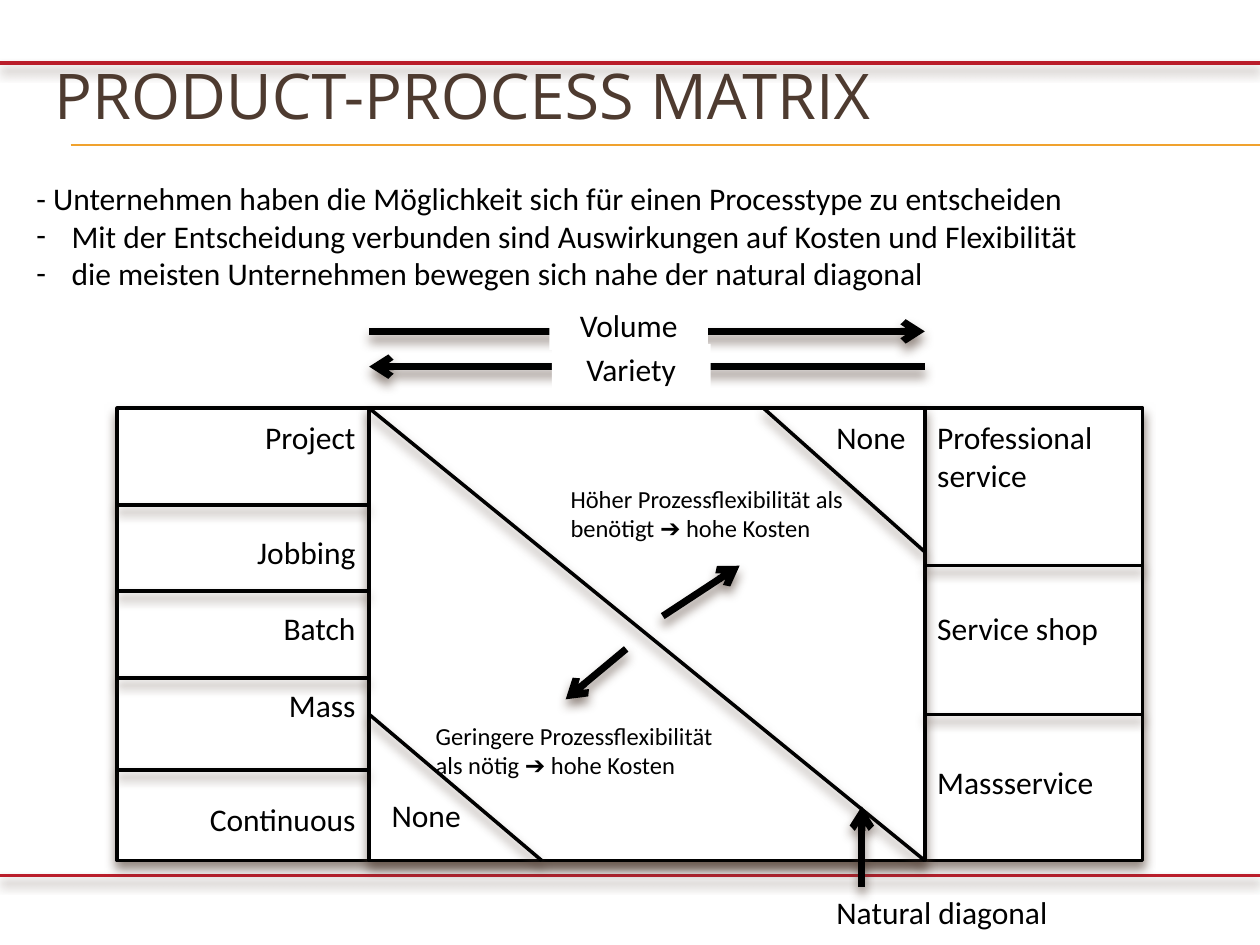
from lxml import etree
from pptx import Presentation
from pptx import util as u
from pptx.dml.color import RGBColor
from pptx.enum import shapes, text
from pptx.oxml import ns

BLACK = RGBColor(0x00, 0x00, 0x00)
WHITE = RGBColor(0xFF, 0xFF, 0xFF)
BROWN = RGBColor(0x4E, 0x3B, 0x30)
RED = RGBColor(0xBA, 0x1E, 0x2B)
AMBER = RGBColor(0xF0, 0xA2, 0x2E)

LEFT, RIGHT, CENTER = text.PP_ALIGN.LEFT, text.PP_ALIGN.RIGHT, text.PP_ALIGN.CENTER
LINE_STEP = 22  # points taken by one 18 pt text line

# Edges of the matrix in inches
OUTER_LEFT, INNER_LEFT, INNER_RIGHT, OUTER_RIGHT = 0.93, 2.93, 7.34, 9.07
TOP, BOTTOM = 3.24, 6.83


def child(parent, tag, **attributes):
    return etree.SubElement(parent, ns.qn(tag), attributes)


def set_effects(shape, shadow):
    """Give the shape a soft downward shadow, or no shadow at all."""
    effects = child(shape._element.spPr, "a:effectLst")
    if shadow:
        outer = child(effects, "a:outerShdw", blurRad=str(u.Pt(6)),
                      dist=str(u.Pt(4)), dir="5400000", rotWithShape="0")
        color = child(outer, "a:srgbClr", val=str(BROWN))
        child(color, "a:alpha", val="60000")


def add_line(page, start, end, color=BLACK, width=2, arrow=False, shadow=True):
    line = page.shapes.add_connector(
        shapes.MSO_CONNECTOR.STRAIGHT, *(u.Inches(v) for v in (*start, *end)))
    line.line.color.rgb = color
    line.line.width = u.Pt(width)
    if arrow:
        child(line.line._get_or_add_ln(), "a:tailEnd", type="arrow")
    set_effects(line, shadow)


def add_rect(page, left, top, width, height, outlined=True):
    rect = page.shapes.add_shape(
        shapes.MSO_SHAPE.RECTANGLE, *(u.Inches(v) for v in (left, top, width, height)))
    rect.fill.solid()
    rect.fill.fore_color.rgb = WHITE
    if outlined:
        rect.line.color.rgb = BLACK
        rect.line.width = u.Pt(2)
    else:
        rect.line.fill.background()
    set_effects(rect, outlined)
    return rect


def add_run(para, words, size, font="Calibri", color=BLACK):
    span = para.add_run()
    span.text = words
    span.font.size = u.Pt(size)
    span.font.name = font
    span.font.color.rgb = color


def write(shape, lines, size=18, align=LEFT):
    """Write (words, free text lines above) pairs, one paragraph each."""
    frame = shape.text_frame
    frame.word_wrap = True
    frame.vertical_anchor = text.MSO_ANCHOR.TOP
    for index, (words, gap) in enumerate(lines):
        para = frame.add_paragraph() if index else frame.paragraphs[0]
        para.alignment = align
        if gap:
            para.space_before = u.Pt(gap * LINE_STEP)
        add_run(para, words, size)
    return frame


def add_text(page, left, top, width, height, lines, size=18, align=LEFT):
    box = page.shapes.add_textbox(*(u.Inches(v) for v in (left, top, width, height)))
    return write(box, lines, size, align)


def add_dash(para):
    properties = para._p.get_or_add_pPr()
    properties.set("marL", str(u.Inches(0.28)))
    properties.set("indent", str(u.Inches(-0.28)))
    child(properties, "a:buFont", typeface="Calibri")
    child(properties, "a:buChar", char="-")


def add_title(page, words):
    title = page.shapes.title
    title.left, title.top = u.Inches(0.33), u.Inches(0.29)
    title.width, title.height = u.Inches(9.5), u.Inches(0.92)
    frame = title.text_frame
    frame.vertical_anchor = text.MSO_ANCHOR.MIDDLE
    frame.auto_size = text.MSO_AUTO_SIZE.NONE
    frame.paragraphs[0].alignment = LEFT
    add_run(frame.paragraphs[0], words, 36, "Open Sans", BROWN)


def add_matrix(page):
    add_rect(page, OUTER_LEFT, TOP, OUTER_RIGHT - OUTER_LEFT, BOTTOM - TOP)
    add_rect(page, INNER_LEFT, TOP, INNER_RIGHT - INNER_LEFT, BOTTOM - TOP)

    # Natural diagonal and the two cut-off corners
    add_line(page, (INNER_LEFT, TOP), (INNER_RIGHT, BOTTOM))
    add_line(page, (6.06, TOP), (INNER_RIGHT, 4.38))
    add_line(page, (INNER_LEFT, 5.67), (4.3, BOTTOM))

    # Process types for products (left) and services (right)
    for y in (4.01, 4.69, 5.38, 6.11):
        add_line(page, (OUTER_LEFT, y), (INNER_LEFT, y))
    add_text(page, OUTER_LEFT, 3.27, 1.99, 3.43,
             [("Project", 0), ("Jobbing", 2), ("Batch", 1), ("Mass", 1),
              ("Continuous", 2)], align=RIGHT)
    for y in (4.49, 5.67):
        add_line(page, (INNER_RIGHT, y), (OUTER_RIGHT, y))
    add_text(page, INNER_RIGHT, 3.27, 1.73, 3.13,
             [("Professional", 0), ("service", 0), ("Service shop", 3),
              ("Massservice", 3)])

    for left, top in ((6.54, 3.27), (3.01, 6.27)):
        add_text(page, left, top, 0.8, 0.4, [("None", 0)])


def main():
    deck = Presentation()
    deck.slide_width, deck.slide_height = u.Inches(10), u.Inches(7.5)
    page = deck.slides.add_slide(deck.slide_layouts[5])

    # Frame lines and title
    add_line(page, (0.56, 1.15), (10, 1.15), AMBER, 0.75, shadow=False)
    for y in (0.5, 6.95):
        add_line(page, (0, y), (10, y), RED)
    add_title(page, "PRODUCT-PROCESS MATRIX")

    # Introduction
    intro = add_text(page, 0.19, 1.37, 9.64, 1.01, [
        ("- Unternehmen haben die Möglichkeit sich für einen Processtype zu entscheiden", 0),
        ("Mit der Entscheidung verbunden sind Auswirkungen auf Kosten und Flexibilität", 0),
        ("die meisten Unternehmen bewegen sich nahe der natural diagonal", 0)])
    for para in intro.paragraphs[1:]:
        add_dash(para)

    add_matrix(page)

    # Arrows away from the diagonal
    add_line(page, (5.26, 4.89), (5.87, 4.49), width=4, arrow=True)
    add_line(page, (4.97, 5.15), (4.49, 5.55), width=4, arrow=True)

    # Volume and variety axes, with labels on top of the arrows
    add_line(page, (INNER_LEFT, 2.63), (INNER_RIGHT, 2.63), width=4, arrow=True)
    add_line(page, (INNER_RIGHT, 2.91), (INNER_LEFT, 2.91), width=4, arrow=True)
    for words, left, top in (("Volume", 4.36, 2.38), ("Variety", 4.38, 2.73)):
        label = add_rect(page, left, top, 1.26, 0.4, outlined=False)
        write(label, [(words, 0)], align=CENTER)

    # Notes on both sides of the diagonal
    for words, left, top in (
            ("Höher Prozessflexibilität als benötigt ➔ hohe Kosten", 4.43, 3.79),
            ("Geringere Prozessflexibilität als nötig ➔ hohe Kosten", 3.36, 5.67)):
        add_text(page, left, top, 2.47, 0.57, [(words, 0)], size=14)

    # Pointer to the diagonal
    add_line(page, (6.84, 7.04), (6.84, 6.4), width=4, arrow=True)
    add_text(page, 6.54, 7.04, 3.01, 0.4, [("Natural diagonal", 0)])

    deck.save("out.pptx")


if __name__ == "__main__":
    main()
